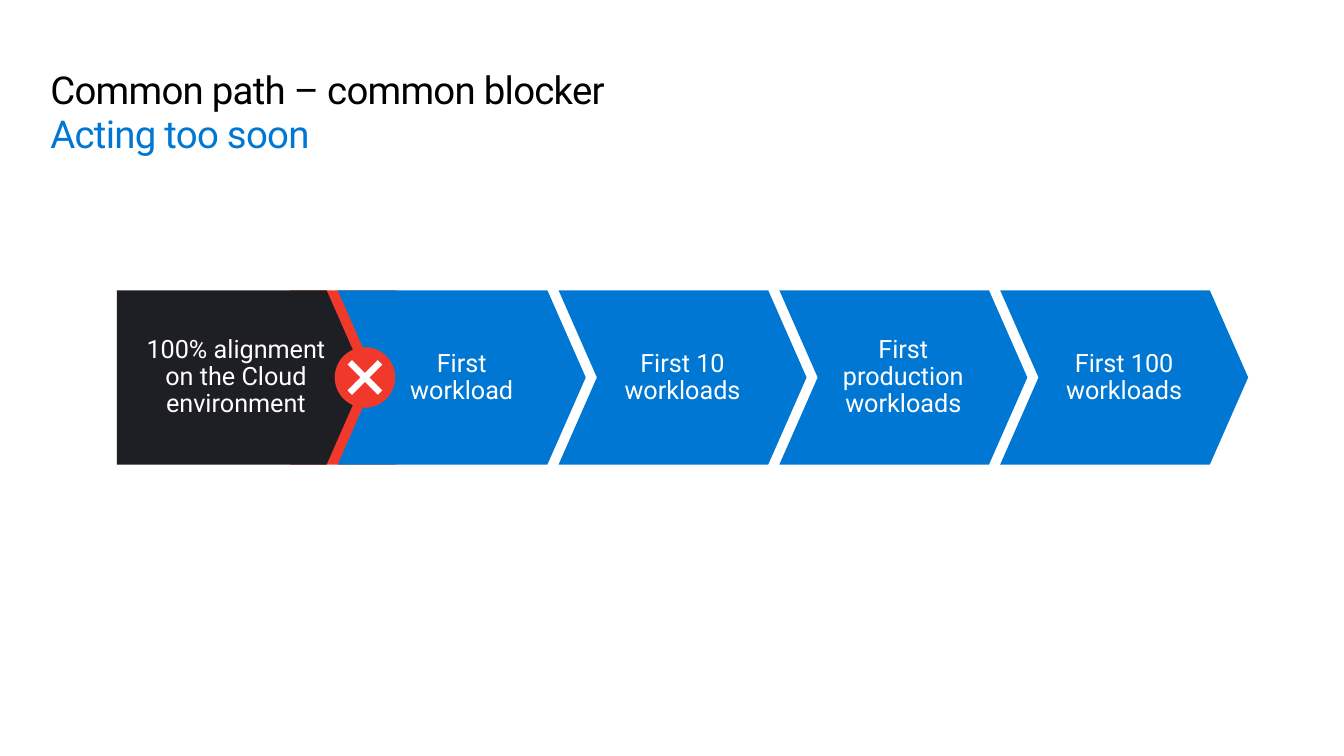
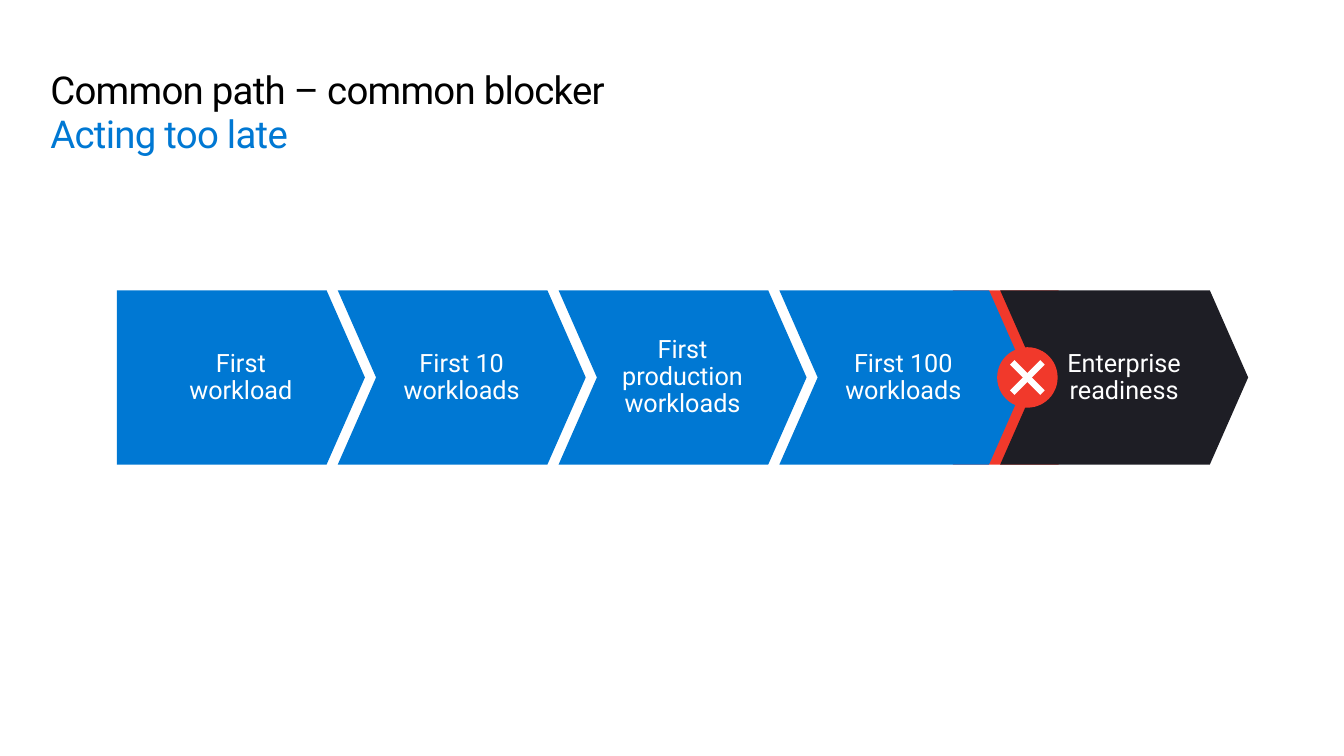
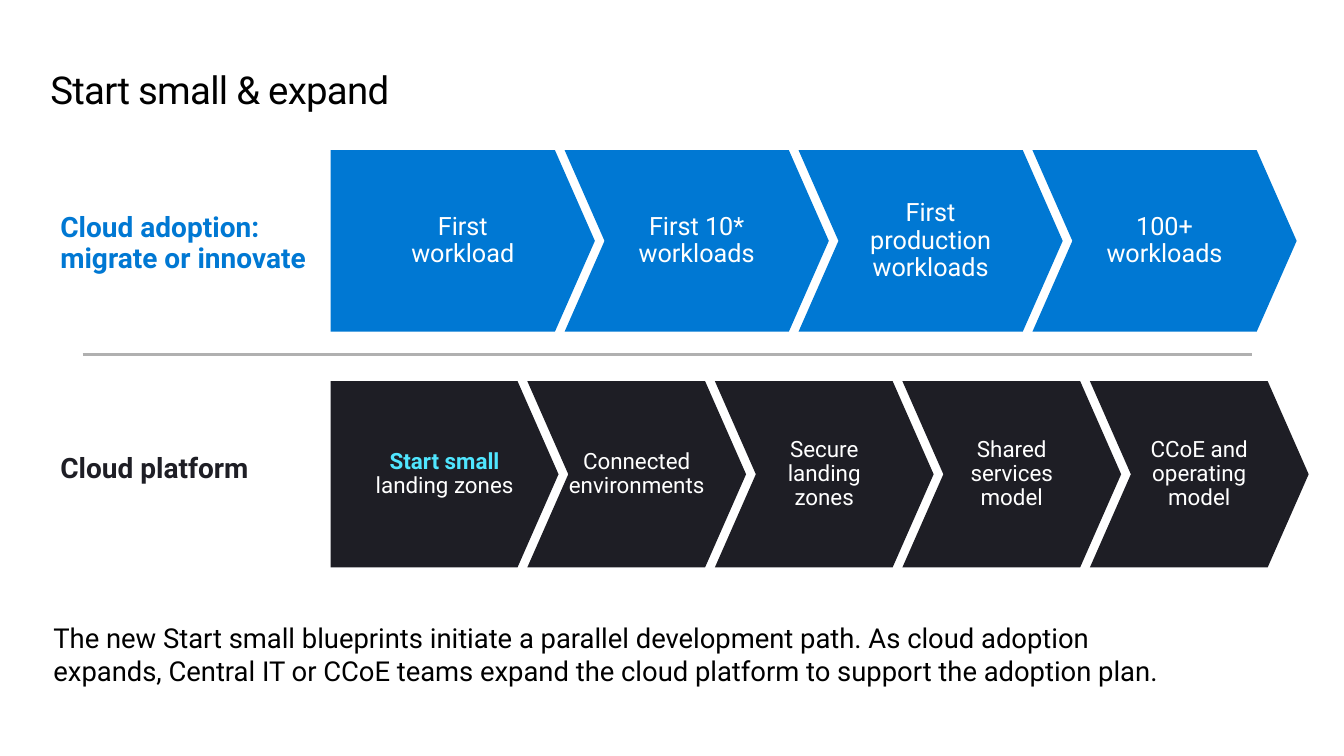
from lxml import etree
from pptx import Presentation
from pptx.dml.color import RGBColor
from pptx.enum.shapes import MSO_CONNECTOR, MSO_SHAPE
from pptx.enum.text import MSO_ANCHOR, PP_ALIGN
from pptx.oxml.ns import qn
from pptx.util import Inches, Pt

CHEVRON, RECT, OVAL = MSO_SHAPE.CHEVRON, MSO_SHAPE.RECTANGLE, MSO_SHAPE.OVAL
STRAIGHT = MSO_CONNECTOR.STRAIGHT
CENTER, LEFT = PP_ALIGN.CENTER, PP_ALIGN.LEFT
MIDDLE, TOP = MSO_ANCHOR.MIDDLE, MSO_ANCHOR.TOP

# Shared style
FONT = "Roboto"
BLUE, DARK, RED, CYAN = "0078D3", "1E1E25", "F1392B", "50E6FF"
WHITE, BLACK, GREY = "FFFFFF", "000000", "B0B0B0"
TIP = 0.22  # depth of a chevron point, as a share of its height

# Path of the two blocker slides
PATH_X, PATH_Y, PATH_PITCH, PATH_W, PATH_H = 1.16, 2.88, 2.19, 2.46, 1.73


def rgb(value):
    return RGBColor.from_string(value)


def write(shape, text, size, color, align=LEFT, anchor=TOP, insets=(0, 0, 0, 0),
          spacing=None, bold=False):
    tf = shape.text_frame
    tf.word_wrap = True
    tf.vertical_anchor = anchor
    tf.margin_left, tf.margin_top, tf.margin_right, tf.margin_bottom = map(Inches, insets)
    p = tf.paragraphs[0]
    p.text = text
    p.alignment = align
    if spacing:
        p.line_spacing = spacing
    p.font.name, p.font.size, p.font.bold = FONT, Pt(size), bold
    p.font.color.rgb = rgb(color)
    return p


def text_box(s, x, y, w, h, text, size, color, **style):
    box = s.shapes.add_textbox(Inches(x), Inches(y), Inches(w), Inches(h))
    return write(box, text, size, color, **style)


def paint(shape, color):
    shape.shadow.inherit = False
    shape.fill.solid()
    shape.fill.fore_color.rgb = rgb(color)
    shape.line.fill.background()
    return shape


def add_shape(s, kind, x, y, w, h, color):
    return paint(s.shapes.add_shape(kind, Inches(x), Inches(y), Inches(w), Inches(h)), color)


def add_line(s, x1, y1, x2, y2, color, width):
    line = s.shapes.add_connector(STRAIGHT, Inches(x1), Inches(y1), Inches(x2), Inches(y2))
    line.line.color.rgb = rgb(color)
    line.line.width = Pt(width)
    etree.SubElement(line._element.spPr, qn("a:effectLst"))


def add_title(s, text, subtitle=None):
    lines = [text, subtitle] if subtitle else [text]
    p = text_box(s, 0.5, 0.68, 12.36, 0.44 * len(lines), "\n".join(lines), 27.4, BLACK,
                 spacing=Pt(31.4))
    for r, color in zip(p.runs, (BLACK, BLUE)):
        r.font.color.rgb = rgb(color)
        r._r.get_or_add_rPr().set("spc", "-50")


def flat_start(s, x, y, w, h, color):
    """First step of a path: flat on the left, pointed on the right."""
    shoulder = x + w - TIP * h
    corners = [(shoulder, y), (x + w, y + h / 2), (shoulder, y + h), (x, y + h)]
    outline = s.shapes.build_freeform(Inches(x), Inches(y))
    outline.add_line_segments([(Inches(a), Inches(b)) for a, b in corners])
    return paint(outline.convert_to_shape(), color)


def add_path(s, x, y, pitch, w, h, steps, size=18, side=0.1, lead=0, first_left=None):
    """Row of (text, colour) steps; lead widens the first one to the left."""
    paragraphs = []
    for i, (text, color) in enumerate(steps):
        left = side
        if i == 0:
            shape = flat_start(s, x - lead, y, w + lead, h, color)
            left = side if first_left is None else first_left
        else:
            shape = add_shape(s, CHEVRON, x + i * pitch, y, w, h, color)
            shape.adjustments[0] = TIP
        paragraphs.append(write(shape, text, size, WHITE, align=CENTER, anchor=MIDDLE,
                                insets=(left, 0.1, side, 0.1), spacing=0.9))
    return paragraphs


def blocker_slide(prs, subtitle, steps, blocked, first_left=None):
    """Path with a red stop sign after the step numbered blocked."""
    s = add_slide(prs)
    add_title(s, "Common path – common blocker", subtitle)
    cx = PATH_X + blocked * PATH_PITCH + PATH_W
    cy = PATH_Y + PATH_H / 2
    # Red gap behind the path
    add_shape(s, RECT, cx - 0.74, PATH_Y, 1.05, PATH_H, RED)
    add_path(s, PATH_X, PATH_Y, PATH_PITCH, PATH_W, PATH_H, steps, first_left=first_left)
    # Stop sign
    radius, arm = 0.3, 0.15
    add_shape(s, OVAL, cx - radius, cy - radius, 2 * radius, 2 * radius, RED)
    for dx in (arm, -arm):
        add_line(s, cx + dx, cy - arm, cx - dx, cy + arm, WHITE, 4.5)


def expand_slide(prs):
    s = add_slide(prs)
    add_title(s, "Start small & expand")
    # Row labels and divider
    for y, text, color in ((1.96, "Cloud adoption: migrate or innovate", BLUE),
                           (4.36, "Cloud platform", DARK)):
        text_box(s, 0.5, y, 2.76, 0.68, text, 20, color, bold=True, spacing=0.9,
                 insets=(0.1, 0.16, 0.1, 0.16))
    add_line(s, 0.82, 3.52, 12.42, 3.52, GREY, 2)
    # Adoption path
    adoption = ["First\nworkload", "First 10*\nworkloads", "First\nproduction\nworkloads",
                "100+\nworkloads"]
    add_path(s, 3.28, 1.49, 2.32, 2.62, 1.8, [(text, BLUE) for text in adoption])
    # Platform path
    platform = ["Start small\nlanding zones", "Connected environments", "Secure landing zones",
                "Shared services model", "CCoE and operating model"]
    start = add_path(s, 3.37, 3.78, 1.86, 2.17, 1.85, [(text, DARK) for text in platform],
                     size=16, side=0, lead=0.09)[0]
    start.runs[0].font.bold = True
    start.runs[0].font.color.rgb = rgb(CYAN)
    # Summary
    text_box(s, 0.53, 5.99, 10.99, 1,
             "The new Start small blueprints initiate a parallel development path. "
             "As cloud adoption expands, Central IT or CCoE teams expand the cloud platform "
             "to support the adoption plan.", 19.6, BLACK, anchor=MIDDLE)


def add_slide(prs):
    return prs.slides.add_slide(prs.slide_layouts[6])


def main():
    prs = Presentation()
    prs.slide_width, prs.slide_height = Inches(13.33), Inches(7.5)
    workloads = [(text, BLUE) for text in (
        "First\nworkload", "First 10\nworkloads", "First production\nworkloads",
        "First 100\nworkloads")]
    alignment = ("100% alignment\non the Cloud environment", DARK)
    readiness = ("Enterprise\nreadiness", DARK)
    blocker_slide(prs, "Acting too soon", [alignment] + workloads, 0, first_left=0)
    blocker_slide(prs, "Acting too late", workloads + [readiness], 3)
    expand_slide(prs)
    prs.save("out.pptx")


if __name__ == "__main__":
    main()
